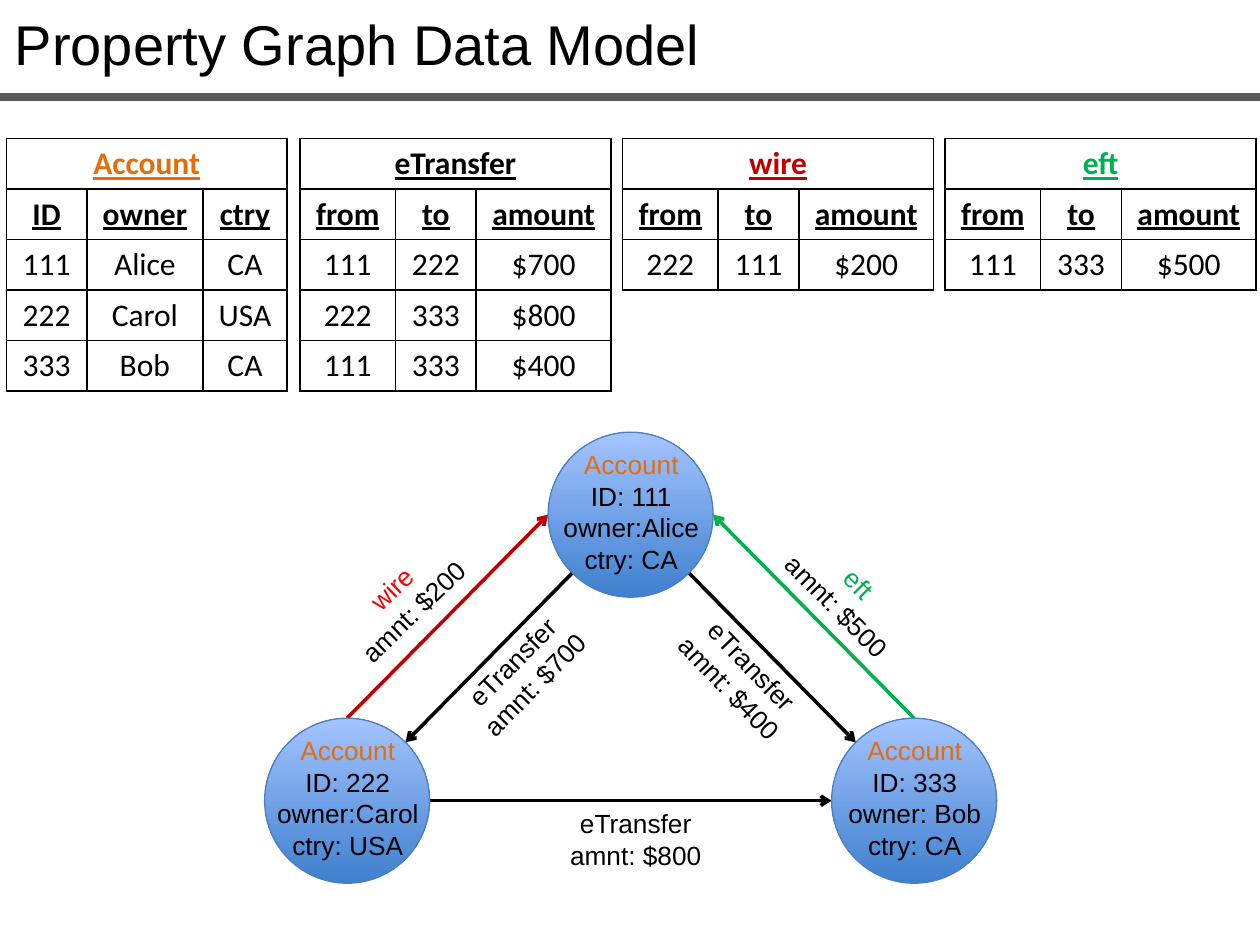
from math import cos, radians, sin

from lxml import etree
from pptx import Presentation
from pptx.dml.color import RGBColor
from pptx.enum.shapes import MSO_CONNECTOR, MSO_SHAPE
from pptx.enum.text import PP_ALIGN
from pptx.oxml.ns import qn
from pptx.util import Pt

PX = 9144
LINE = MSO_CONNECTOR.STRAIGHT
OVAL = MSO_SHAPE.OVAL
MID = PP_ALIGN.CENTER
LEFT = PP_ALIGN.LEFT
BLACK, ORANGE, GREEN, RED = "000000", "E46C0A", "00B050", "C00000"
NODE = 131
EDGE = ["from", "to", "amount"]
WIDE = [76, 64, 107]


def px(*nums):
    """Turn px lengths into EMU."""
    return [round(n * PX) for n in nums]


def tint(color, code):
    """Set a colour from a hex string."""
    color.rgb = RGBColor.from_string(code)


def write(par, text, size, face, code, bold=False, align=MID):
    """Add one styled run to a paragraph."""
    par.alignment = align
    run = par.add_run()
    run.text = text
    font = run.font
    font.size, font.name = Pt(size), face
    font.bold = font.underline = bold
    tint(font.color, code)


def text(shapes, box, lines, size=15, align=MID, turn=0, lead=18):
    """Place a text box with one paragraph per (text, colour) line."""
    item = shapes.add_textbox(*px(*box))
    item.rotation = turn
    frame = item.text_frame
    frame.word_wrap = True
    for i, (words, code) in enumerate(lines):
        par = frame.add_paragraph() if i else frame.paragraphs[0]
        if lead:
            par.line_spacing = Pt(lead)
        write(par, words, size, "Arial", code, align=align)


def line(shapes, start, end, code, width=2, arrow=True):
    """Draw a straight line, with an open arrowhead at its end if asked."""
    item = shapes.add_connector(LINE, *px(*start, *end))
    tint(item.line.color, code)
    item.line.width = Pt(width)
    if arrow:
        etree.SubElement(item.line._get_or_add_ln(), qn("a:tailEnd"), type="arrow")
    etree.SubElement(item._element.spPr, qn("a:effectLst"))


def frame_cell(cell):
    """Give a cell thin black borders and no fill."""
    props = cell._tc.get_or_add_tcPr()
    for side in ("lnL", "lnR", "lnT", "lnB"):
        edge = etree.SubElement(props, qn(f"a:{side}"), w=str(Pt(1)))
        fill = etree.SubElement(edge, qn("a:solidFill"))
        etree.SubElement(fill, qn("a:srgbClr"), val=BLACK)
    cell.fill.background()


def table(shapes, left, top, name, code, wide, heads, rows):
    """Place a table with a merged name row, a head row and data rows."""
    grid = [[name, "", ""], heads, *rows]
    box = px(left, top, sum(wide), 40 * len(grid))
    tab = shapes.add_table(len(grid), len(wide), *box).table
    tab.first_row = tab.horz_banding = False
    for col, size in zip(tab.columns, px(*wide)):
        col.width = size
    for r, row in enumerate(grid):
        for c, words in enumerate(row):
            cell = tab.cell(r, c)
            frame_cell(cell)
            if words:
                par = cell.text_frame.paragraphs[0]
                write(par, words, 18, "Calibri", BLACK if r else code, r < 2)
    tab.cell(0, 0).merge(tab.cell(0, len(wide) - 1))


def rim(spot, angle):
    """Find the point on a node's rim at a clockwise angle from the right."""
    half, turn = NODE / 2, radians(angle)
    return spot[0] + half + half * cos(turn), spot[1] + half + half * sin(turn)


def node(shapes, left, top, facts):
    """Place a round account node with its facts, as one group."""
    group = shapes.add_group_shape().shapes
    disc = group.add_shape(OVAL, *px(left, top, NODE, NODE))
    disc.shadow.inherit = False
    disc.fill.gradient()
    disc.fill.gradient_angle = 90
    for stop, code in zip(disc.fill.gradient_stops, ("3F80CE", "A4C4FF")):
        tint(stop.color, code)
    tint(disc.line.color, "4B7EBC")
    disc.line.width = Pt(0.75)
    lines = [("Account", ORANGE)] + [(fact, BLACK) for fact in facts]
    text(group, (left - 5, top + 8, 142, 111), lines)


def header(shapes, left, top, width):
    """Place the title and the rule below it."""
    text(shapes, (left + 2, top + 3, width - 6, 64),
         [("Property Graph Data Model", BLACK)], 32, LEFT, lead=None)
    line(shapes, (left, top + 77), (left + width, top + 77), "595959", 4.5, False)


def tables(shapes, left, top):
    """Place the four tables in a row."""
    people = [["111", "Alice", "CA"], ["222", "Carol", "USA"], ["333", "Bob", "CA"]]
    moves = [["111", "222", "$700"], ["222", "333", "$800"], ["111", "333", "$400"]]
    table(shapes, left, top, "Account", ORANGE, [64, 92, 67],
          ["ID", "owner", "ctry"], people)
    sets = [("eTransfer", BLACK, moves),
            ("wire", RED, [["222", "111", "$200"]]),
            ("eft", GREEN, [["111", "333", "$500"]])]
    for i, (name, code, rows) in enumerate(sets):
        table(shapes, left + 233 + 256 * i, top, name, code, WIDE, EDGE, rows)


def graph(shapes, left, top):
    """Place the three nodes, the arrows between them and their labels."""
    alice, carol, bob = (left + 225, top), (left, top + 227), (left + 450, top + 227)
    for start, a, end, b, code in [
        (alice, 135, carol, 315, BLACK),
        (alice, 45, bob, 225, BLACK),
        (carol, 0, bob, 180, BLACK),
        (carol, 270, alice, 180, RED),
        (bob, 270, alice, 0, GREEN),
    ]:
        line(shapes, rim(start, a), rim(end, b), code)
    for spot, facts in [
        (carol, ["ID: 222", "owner:Carol", "ctry: USA"]),
        (alice, ["ID: 111", "owner:Alice", "ctry: CA"]),
        (bob, ["ID: 333", "owner: Bob", "ctry: CA"]),
    ]:
        node(shapes, *spot, facts)
    for x, y, turn, name, code, cost in [
        (35, 103, 316, "wire", "FF0000", 200),
        (388, 99, 45.1, "eft", GREEN, 500),
        (131, 161, 314.7, "eTransfer", BLACK, 700),
        (303, 164, 46.1, "eTransfer", BLACK, 400),
        (220, 293, 0, "eTransfer", BLACK, 800),
    ]:
        lines = [(name, code), (f"amnt: ${cost}", BLACK)]
        text(shapes, (left + x, top + y, 149, 61), lines, turn=turn)


def main():
    """Build and save the slide."""
    deck = Presentation()
    deck.slide_width, deck.slide_height = px(1000, 750)
    shapes = deck.slides.add_slide(deck.slide_layouts[6]).shapes
    header(shapes, 0, 0, 1000)
    tables(shapes, 5, 110)
    graph(shapes, 210, 343)
    deck.save("out.pptx")


if __name__ == "__main__":
    main()
